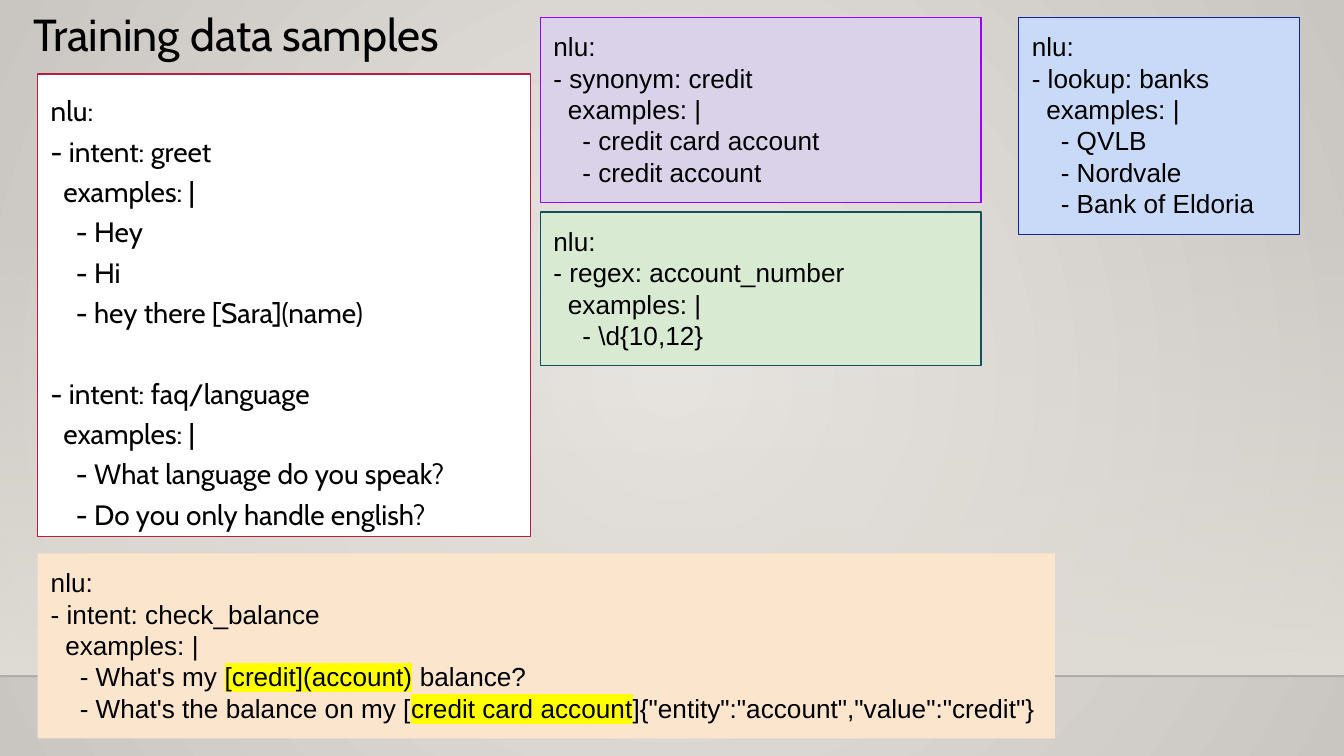
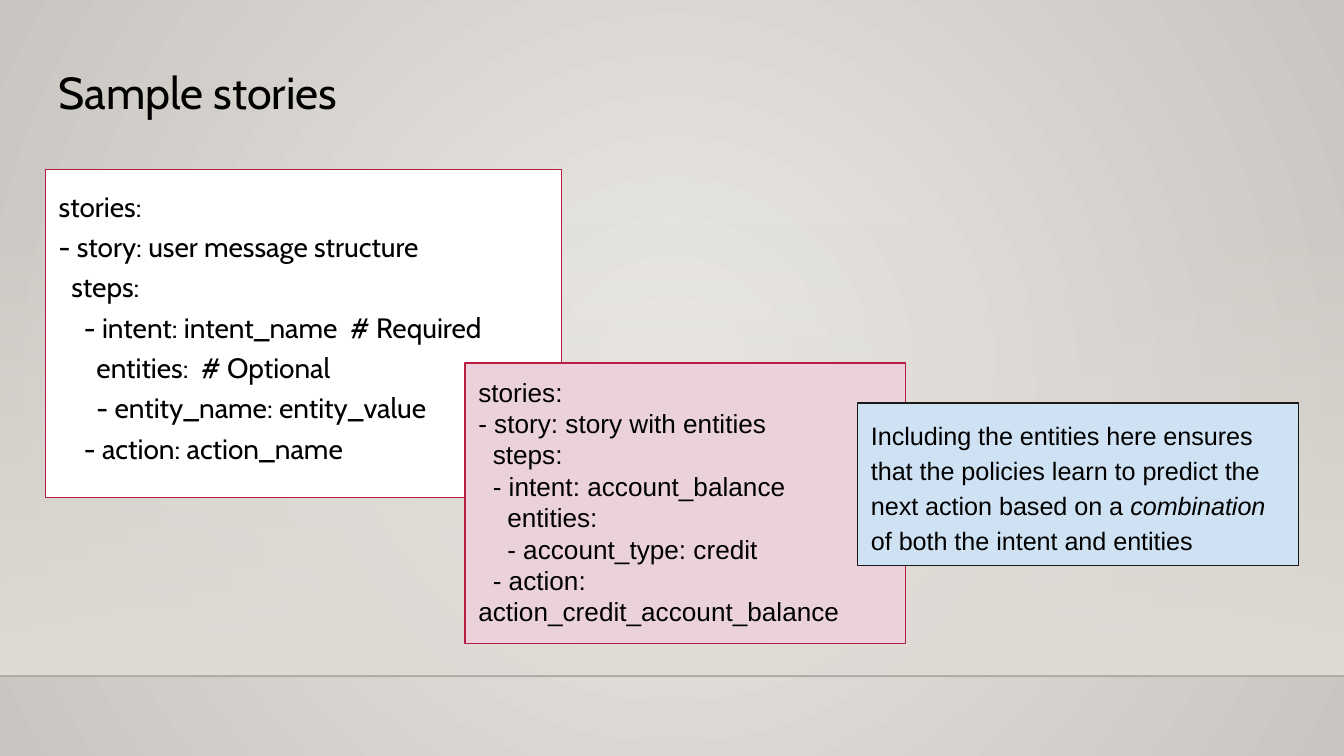
from dataclasses import dataclass

from lxml import etree
from pptx import Presentation
from pptx.dml.color import RGBColor
from pptx.enum.shapes import MSO_CONNECTOR, MSO_SHAPE
from pptx.enum.text import MSO_ANCHOR, MSO_AUTO_SIZE, PP_ALIGN
from pptx.oxml.ns import qn
from pptx.util import Cm, Pt

STRAIGHT = MSO_CONNECTOR.STRAIGHT
RECTANGLE = MSO_SHAPE.RECTANGLE
TOP = MSO_ANCHOR.TOP
LEFT = PP_ALIGN.LEFT
GROW = MSO_AUTO_SIZE.SHAPE_TO_FIT_TEXT
FIXED = MSO_AUTO_SIZE.NONE


@dataclass(frozen=True)
class Theme:
    width: float = 25.4
    height: float = 14.29
    band_top: float = 4.22
    floor: float = 12.78
    inset: float = 0.25
    title_width: float = 23.67
    title_height: float = 1.73
    centre: str = "EBE9E6"
    edge: str = "C9C5C0"
    band: str = "DFDBD5"
    floor_line: str = "000001"
    text: str = "000000"
    marker: str = "FFFF00"
    border: float = 0.75
    block_gap: float = 21.6


THEME = Theme()

TITLE = dict(font="Cabin", size=24, spacing=0.9)
BODY = dict(font="Cabin", size=15, spacing=1.2)
CODE = dict(font="Arial", size=14, autosize=GROW)
NOTE = dict(font="Arial", size=13.5, spacing=1.15, autosize=GROW)

# A box holds blocks of lines; a line is a string or a list of (text, style) spans.
SLIDES = [
    {
        "title": ("Training data samples", (0.38, 0)),
        "boxes": [
            dict(at=(0.71, 1.4, 9.32, 8.74), fill="FFFFFF", line="B71E42", style=BODY, blocks=[
                ["nlu:",
                 "- intent: greet",
                 "  examples: |",
                 "    - Hey",
                 "    - Hi",
                 "    - hey there [Sara](name)"],
                ["- intent: faq/language",
                 "  examples: |",
                 "    - What language do you speak?",
                 "    - Do you only handle english?"],
            ]),
            dict(at=(0.71, 10.46, 19.23, 3.5), fill="FCE5CD", line=None, style=CODE, blocks=[
                ["nlu:",
                 "- intent: check_balance",
                 "  examples: |",
                 [("    - What's my ", ""), ("[credit](account)", "marked"), (" balance?", "")],
                 [("    - What's the balance on my [", ""), ("credit card account", "marked"),
                  (']{"entity":"account","value":"credit"}', "")]],
            ]),
            dict(at=(10.21, 0.33, 8.33, 3.5), fill="D9D2E9", line="9900FF", style=CODE, blocks=[
                ["nlu:",
                 "- synonym: credit",
                 "  examples: |",
                 "    - credit card account",
                 "    - credit account"],
            ]),
            dict(at=(10.21, 4.01, 8.33, 2.9), fill="D9EAD3", line="134F5C", style=CODE, blocks=[
                ["nlu:",
                 "- regex: account_number",
                 "  examples: |",
                 "    - \\d{10,12}"],
            ]),
            dict(at=(19.25, 0.33, 5.31, 4.11), fill="C9DAF8", line="12239A", style=CODE, blocks=[
                ["nlu:",
                 "- lookup: banks",
                 "  examples: |",
                 "    - QVLB",
                 "    - Nordvale",
                 "    - Bank of Eldoria"],
            ]),
        ],
    },
    {
        "title": ("Sample stories", (0.86, 1.09)),
        "boxes": [
            dict(at=(0.86, 3.2, 9.75, 6.2), fill="FFFFFF", line="B71E42", style=BODY, blocks=[
                ["stories:",
                 "- story: user message structure",
                 "  steps:",
                 "    - intent: intent_name  # Required",
                 "      entities:  # Optional",
                 "      - entity_name: entity_value",
                 "    - action: action_name"],
            ]),
            dict(at=(8.79, 6.86, 8.33, 5.31), fill="EAD1DC", line="B71E42", style=CODE, blocks=[
                ["stories:",
                 "- story: story with entities",
                 "  steps:",
                 "  - intent: account_balance",
                 "    entities:",
                 "    - account_type: credit",
                 "  - action: action_credit_account_balance"],
            ]),
            dict(at=(16.21, 7.62, 8.33, 3.07), fill="CFE2F3", line="191919", style=NOTE, blocks=[
                [[("Including the entities here ensures that the policies learn to predict "
                   "the next action based on a ", ""),
                  ("combination", "italic"),
                  (" of both the intent and entities", "")]],
            ]),
        ],
    },
]


def colour(code):
    return RGBColor.from_string(code)


def set_gradient(fill, *codes):
    fill.gradient()
    for stop, code in zip(fill.gradient_stops, codes):
        stop.color.rgb = colour(code)


def set_alpha(element, percent):
    """Make the first plain colour below the element partly transparent."""
    first = next(element.iter(qn("a:srgbClr")))
    etree.SubElement(first, qn("a:alpha"), val=str(percent * 1000))


def set_background(master):
    set_gradient(master.background.fill, THEME.centre, THEME.edge)
    linear = next(master.element.iter(qn("a:lin")))
    circle = etree.Element(qn("a:path"), path="circle")
    etree.SubElement(circle, qn("a:fillToRect"), l="50000", t="50000", r="50000", b="50000")
    linear.getparent().replace(linear, circle)


def add_backdrop(page):
    band = page.shapes.add_shape(RECTANGLE, 0, Cm(THEME.band_top), Cm(THEME.width),
                                 Cm(THEME.floor - THEME.band_top))
    band.shadow.inherit = False
    band.line.fill.background()
    set_gradient(band.fill, THEME.band, THEME.band)
    band.fill.gradient_angle = 270
    set_alpha(band._element.spPr, 0)

    floor = page.shapes.add_connector(STRAIGHT, 0, Cm(THEME.floor), Cm(THEME.width), Cm(THEME.floor))
    floor.line.width = Pt(1)
    floor.line.color.rgb = colour(THEME.floor_line)
    set_alpha(floor._element.spPr, 20)
    etree.SubElement(floor._element.spPr, qn("a:effectLst"))


def mark(span):
    """Highlight a span whose font colour is already set."""
    highlight = etree.Element(qn("a:highlight"))
    etree.SubElement(highlight, qn("a:srgbClr"), val=THEME.marker)
    span.font._element.find(qn("a:solidFill")).addnext(highlight)


def write(box, blocks, *, font, size, spacing=None, autosize=FIXED):
    frame = box.text_frame
    frame.word_wrap = True
    frame.auto_size = autosize
    frame.vertical_anchor = TOP
    frame.margin_left = frame.margin_right = Cm(THEME.inset)
    frame.margin_top = frame.margin_bottom = Cm(THEME.inset)
    lines = [(line, block > 0 and index == 0)
             for block, group in enumerate(blocks) for index, line in enumerate(group)]
    for number, (line, opens_block) in enumerate(lines):
        para = frame.add_paragraph() if number else frame.paragraphs[0]
        para.alignment = LEFT
        if spacing:
            para.line_spacing = spacing
        if opens_block:
            para.space_before = Pt(THEME.block_gap)
        for text, style in [(line, "")] if isinstance(line, str) else line:
            span = para.add_run()
            span.text = text
            span.font.name = font
            span.font.size = Pt(size)
            span.font.color.rgb = colour(THEME.text)
            if style == "italic":
                span.font.italic = True
            if style == "marked":
                mark(span)


def add_title(page, text, place):
    left, top = place
    box = page.shapes.add_textbox(Cm(left), Cm(top), Cm(THEME.title_width), Cm(THEME.title_height))
    write(box, [[text]], **TITLE)


def add_box(page, at, fill, line, style, blocks):
    box = page.shapes.add_shape(RECTANGLE, *map(Cm, at))
    box.shadow.inherit = False
    box.fill.solid()
    box.fill.fore_color.rgb = colour(fill)
    if line:
        box.line.color.rgb = colour(line)
        box.line.width = Pt(THEME.border)
    else:
        box.line.fill.background()
    write(box, blocks, **style)


def main():
    deck = Presentation()
    deck.slide_width, deck.slide_height = Cm(THEME.width), Cm(THEME.height)
    set_background(deck.slide_master)
    for content in SLIDES:
        page = deck.slides.add_slide(deck.slide_layouts[6])
        add_backdrop(page)
        add_title(page, *content["title"])
        for box in content["boxes"]:
            add_box(page, **box)
    deck.save("out.pptx")


if __name__ == "__main__":
    main()
